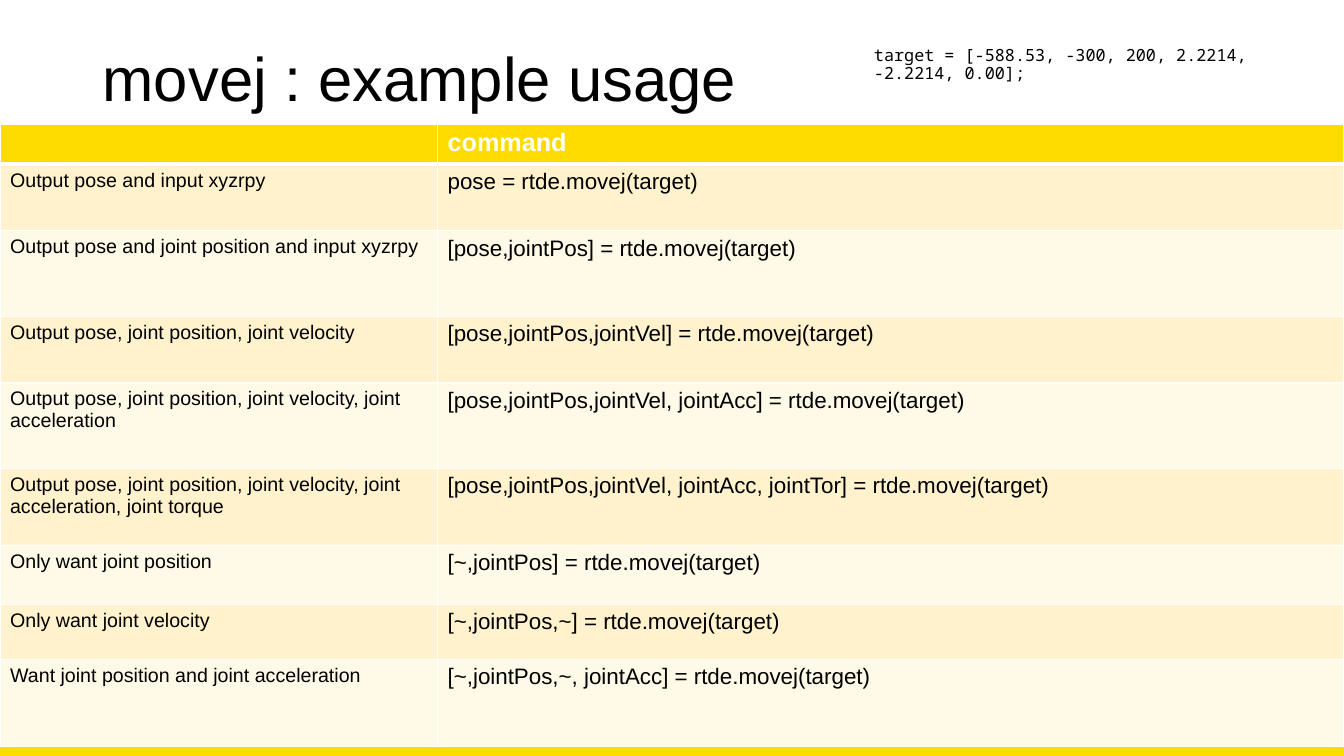
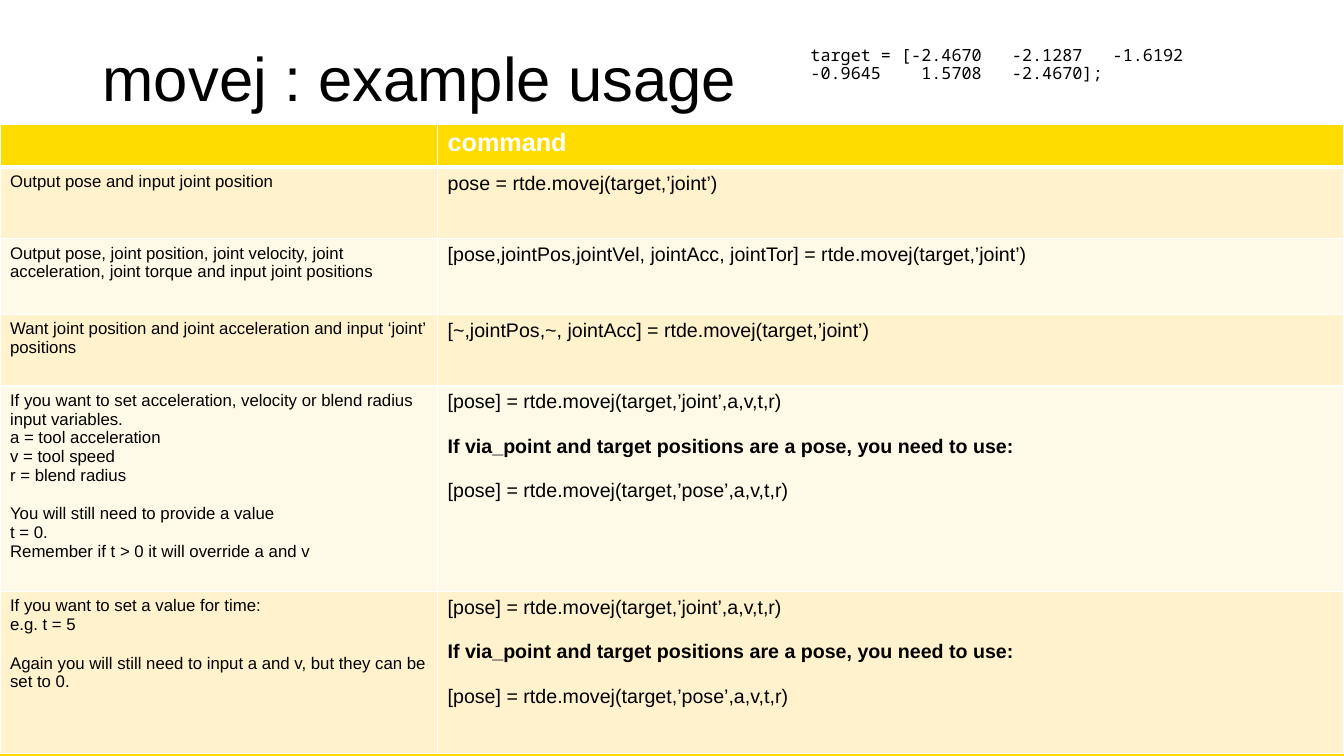
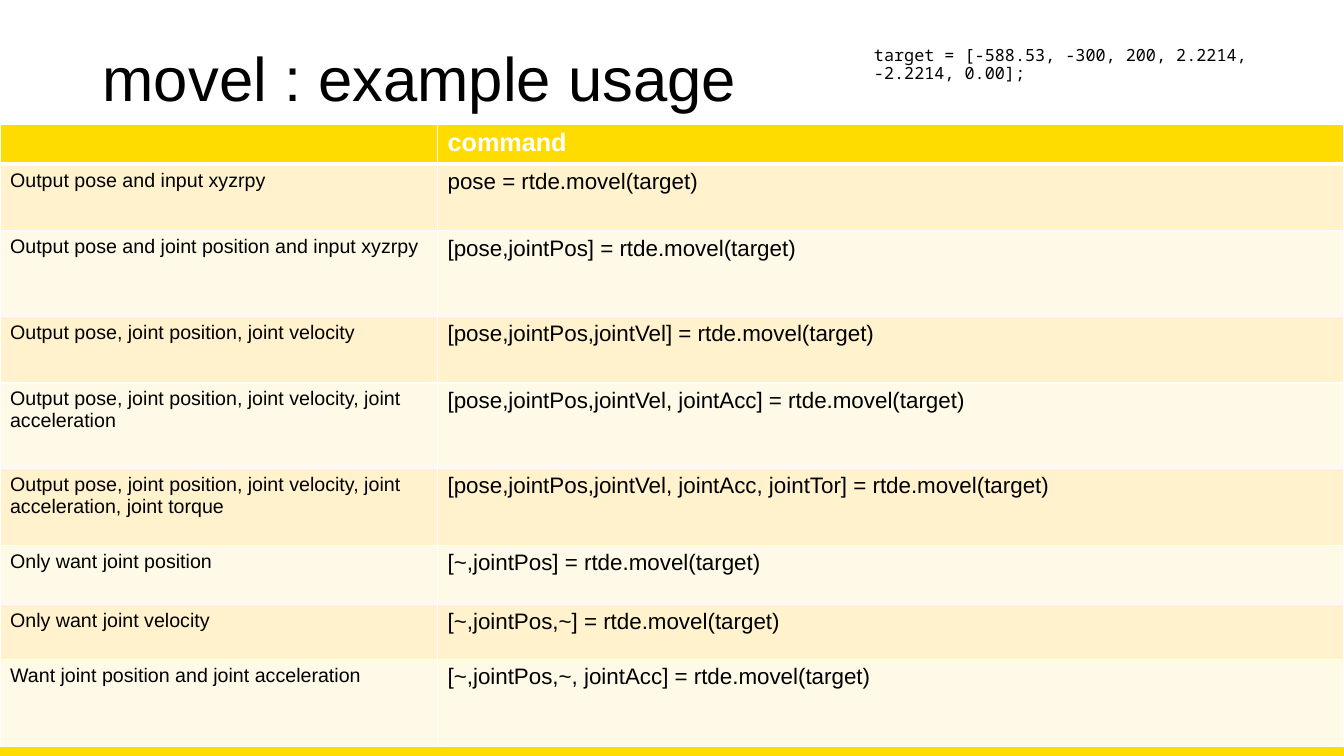
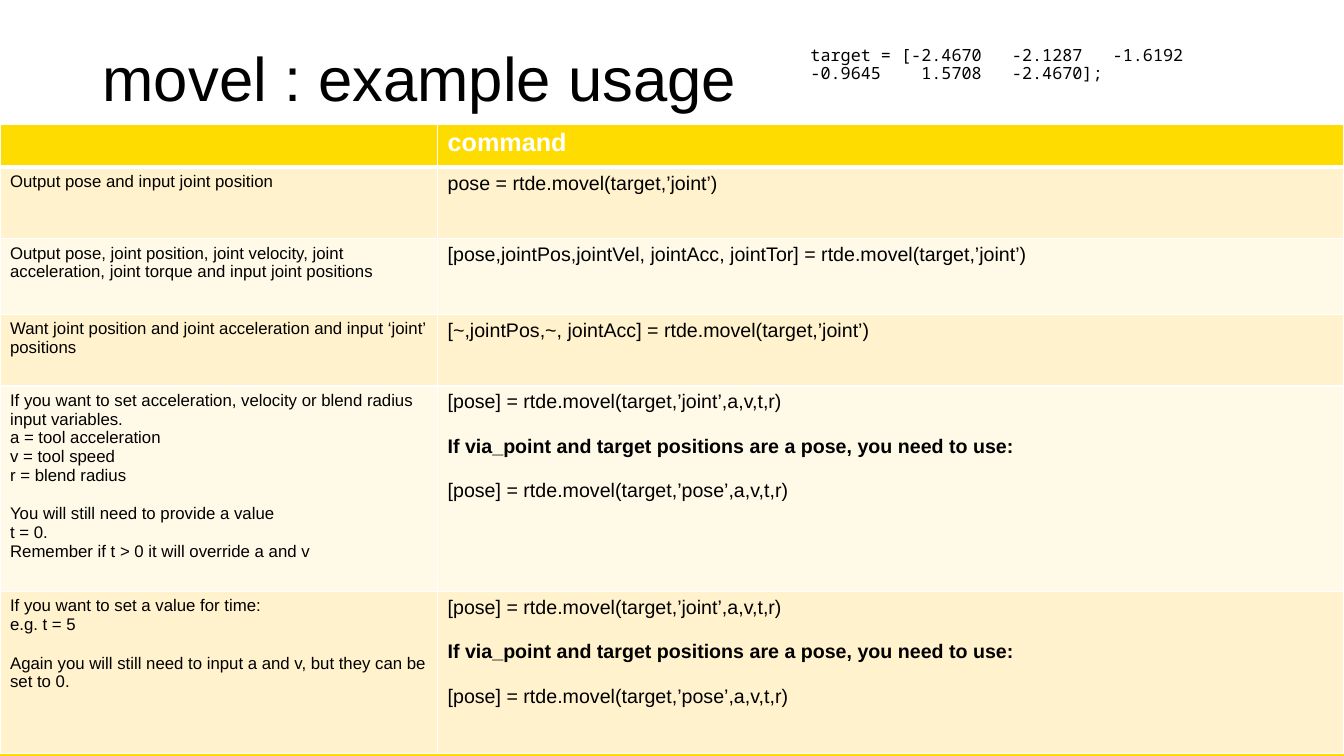
import pptx
import pptx.util
import pptx.dml.color
import pptx.enum.shapes
import pptx.enum.text
import pptx.oxml.ns
import lxml.etree

Inches, Pt = pptx.util.Inches, pptx.util.Pt

COLORS = {"yellow": "FFDC00", "odd": "FFF2CC", "even": "FFF9E7", "white": "FFFFFF", "black": "000000"}
FONT, MONO = "Arial", "Noto Sans Mono"
WIDTH, HEIGHT = 13.33, 7.5
BAND_HEIGHT = 0.85
TABLE_TOP = 1.23
COLUMNS = (4.34, 8.99)
BORDERS = {"lnL": 1, "lnR": 1, "lnT": 1, "lnB": 1}

VIA_NOTE = "If via_point and target positions are a pose, you need to use:"
VIA_COMMANDS = (
    "[pose] = rtde.{f}(target,’joint’,a,v,t,r)\n\n"
    + VIA_NOTE
    + "\n\n[pose] = rtde.{f}(target,’pose’,a,v,t,r)"
)

POSE_USAGE = {
    "target": "target = [-588.53, -300, 200, 2.2214, -2.2214, 0.00];",
    "target_box": (8.57, 0.42, 4.24, 0.84),
    "sizes": (14, 16),
    "header_height": 0.38,
    "rows": [
        (0.66, "Output pose and input xyzrpy", "pose = rtde.{f}(target)"),
        (0.85, "Output pose and joint position and input xyzrpy", "[pose,jointPos] = rtde.{f}(target)"),
        (0.66, "Output pose, joint position, joint velocity", "[pose,jointPos,jointVel] = rtde.{f}(target)"),
        (0.85, "Output pose, joint position, joint velocity, joint acceleration",
         "[pose,jointPos,jointVel, jointAcc] = rtde.{f}(target)"),
        (0.76, "Output pose, joint position, joint velocity, joint acceleration, joint torque",
         "[pose,jointPos,jointVel, jointAcc, jointTor] = rtde.{f}(target)"),
        (0.59, "Only want joint position", "[~,jointPos] = rtde.{f}(target)"),
        (0.54, "Only want joint velocity", "[~,jointPos,~] = rtde.{f}(target)"),
        (0.87, "Want joint position and joint acceleration", "[~,jointPos,~, jointAcc] = rtde.{f}(target)"),
    ],
}
JOINT_USAGE = {
    "target": "target = [-2.4670   -2.1287   -1.6192   -0.9645    1.5708   -2.4670];",
    "target_box": (7.94, 0.42, 4.87, 0.84),
    "sizes": (12, 14),
    "header_height": 0.43,
    "rows": [
        (0.71, "Output pose and input joint position", "pose = rtde.{f}(target,’joint’)"),
        (0.75, "Output pose, joint position, joint velocity, joint acceleration, joint torque and input joint positions",
         "[pose,jointPos,jointVel, jointAcc, jointTor] = rtde.{f}(target,’joint’)"),
        (0.71, "Want joint position and joint acceleration and input ‘joint’ positions",
         "[~,jointPos,~, jointAcc] = rtde.{f}(target,’joint’)"),
        (2.04, "If you want to set acceleration, velocity or blend radius input variables.\n"
               "a = tool acceleration\nv = tool speed\nr = blend radius\n\n"
               "You will still need to provide a value\nt = 0.\nRemember if t > 0 it will override a and v",
         VIA_COMMANDS),
        (1.61, "If you want to set a value for time:\ne.g. t = 5\n\n"
               "Again you will still need to input a and v, but they can be set to 0.",
         VIA_COMMANDS),
    ],
}
SLIDES = [(function, usage) for function in ("movej", "movel") for usage in (POSE_USAGE, JOINT_USAGE)]


def rgb(name):
    return pptx.dml.color.RGBColor.from_string(COLORS[name])


def add_run(p, text, size, font=FONT, color="black", bold=False):
    r = p.add_run()
    r.text = text
    r.font.name, r.font.size, r.font.bold = font, Pt(size), bold
    r.font.color.rgb = rgb(color)


def add_text(s, box, text, size, font, anchor):
    tf = s.shapes.add_textbox(*map(Inches, box)).text_frame
    tf.word_wrap = True
    tf.vertical_anchor = anchor
    p = tf.paragraphs[0]
    p.line_spacing = 0.9
    add_run(p, text, size, font)


def add_band(s):
    sp = s.shapes.add_shape(pptx.enum.shapes.MSO_SHAPE.RECTANGLE, 0, Inches(HEIGHT - BAND_HEIGHT),
                            Inches(WIDTH), Inches(BAND_HEIGHT))
    sp.shadow.inherit = False
    sp.fill.solid()
    sp.fill.fore_color.rgb = rgb("yellow")
    sp.line.fill.background()


def style_cell(cell, fill, borders):
    tc_pr = cell._tc.get_or_add_tcPr()
    qn = pptx.oxml.ns.qn
    for side, width in borders.items():
        ln = lxml.etree.SubElement(tc_pr, qn("a:" + side), w=str(Pt(width)))
        solid = lxml.etree.SubElement(ln, qn("a:solidFill"))
        lxml.etree.SubElement(solid, qn("a:srgbClr"), val=COLORS["white"])
    cell.fill.solid()
    cell.fill.fore_color.rgb = rgb(fill)


def fill_cell(cell, text, size):
    tf = cell.text_frame
    p = tf.paragraphs[0]
    for b, block in enumerate(text.split("\n\n")):
        for i, line in enumerate(block.split("\n")):
            if b or i:
                p = tf.add_paragraph()
            if b and not i:
                p.space_before = Pt(round(size * 1.15))
            add_run(p, line, size, bold=line == VIA_NOTE)


def add_usage_table(s, function, usage):
    heights = [usage["header_height"]] + [row[0] for row in usage["rows"]]
    table = s.shapes.add_table(len(heights), len(COLUMNS), 0, Inches(TABLE_TOP),
                               Inches(WIDTH), Inches(sum(heights))).table
    for column, width in zip(table.columns, COLUMNS):
        column.width = Inches(width)
    for row, height in zip(table.rows, heights):
        row.height = Inches(height)
    for cell in table.rows[0].cells:
        style_cell(cell, "yellow", {**BORDERS, "lnB": 3})
    add_run(table.cell(0, 1).text_frame.paragraphs[0], "command", 18, color="white", bold=True)
    for i, (_, *texts) in enumerate(usage["rows"], 1):
        borders = {**BORDERS, "lnT": 3} if i == 1 else BORDERS
        for j, (text, size) in enumerate(zip(texts, usage["sizes"])):
            cell = table.cell(i, j)
            style_cell(cell, "odd" if i % 2 else "even", borders)
            fill_cell(cell, text.replace("{f}", function), size)


def main():
    prs = pptx.Presentation()
    prs.slide_width, prs.slide_height = Inches(WIDTH), Inches(HEIGHT)
    anchors = pptx.enum.text.MSO_ANCHOR
    for function, usage in SLIDES:
        s = prs.slides.add_slide(prs.slide_layouts[6])
        add_band(s)
        add_text(s, (0.92, 0.4, 11.5, 0.82), function + " : example usage", 44, FONT, anchors.MIDDLE)
        add_text(s, usage["target_box"], usage["target"], 12, MONO, anchors.TOP)
        add_usage_table(s, function, usage)
    prs.save("out.pptx")


if __name__ == "__main__":
    main()
